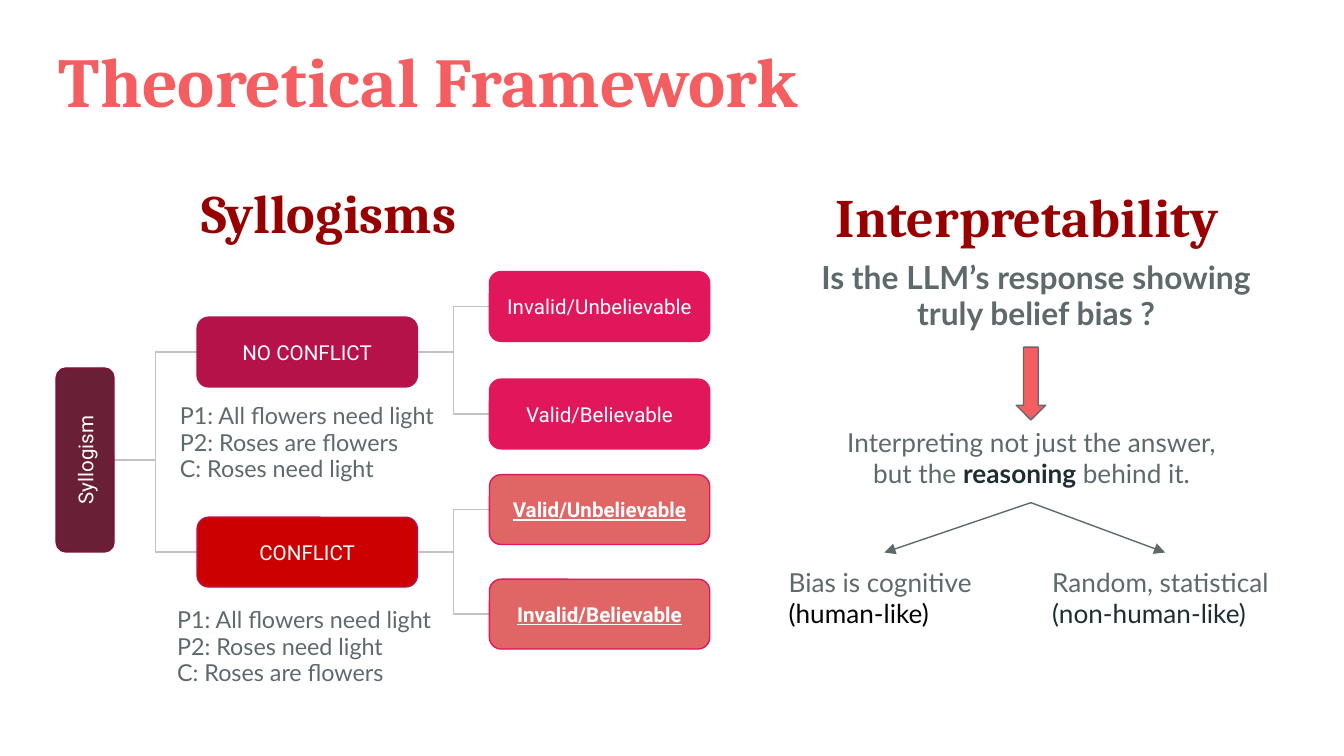
from dataclasses import dataclass

from lxml import etree
from pptx import Presentation
from pptx.dml.color import RGBColor
from pptx.enum.shapes import MSO_CONNECTOR, MSO_SHAPE
from pptx.enum.text import MSO_ANCHOR, MSO_AUTO_SIZE, PP_ALIGN
from pptx.oxml.ns import qn
from pptx.util import Pt

ROUNDED, DOWN_ARROW = MSO_SHAPE.ROUNDED_RECTANGLE, MSO_SHAPE.DOWN_ARROW
ELBOW, STRAIGHT = MSO_CONNECTOR.ELBOW, MSO_CONNECTOR.STRAIGHT
TOP, MIDDLE = MSO_ANCHOR.TOP, MSO_ANCHOR.MIDDLE
LEFT, CENTER = PP_ALIGN.LEFT, PP_ALIGN.CENTER
GROW = MSO_AUTO_SIZE.SHAPE_TO_FIT_TEXT

WHITE = RGBColor(0xFF, 0xFF, 0xFF)
BLACK = RGBColor(0x00, 0x00, 0x00)
INK = RGBColor(0x1E, 0x2D, 0x31)
SLATE = RGBColor(0x5E, 0x69, 0x6C)
SILVER = RGBColor(0xC2, 0xC2, 0xC2)
CORAL = RGBColor(0xF5, 0x5E, 0x61)
MAROON = RGBColor(0x98, 0x00, 0x00)
PLUM = RGBColor(0x69, 0x20, 0x36)
WINE = RGBColor(0x84, 0x0D, 0x35)
BERRY = RGBColor(0xB6, 0x12, 0x4A)
RED = RGBColor(0xCC, 0x00, 0x00)
PINK = RGBColor(0xE1, 0x16, 0x5B)
SALMON = RGBColor(0xE0, 0x66, 0x66)

# Font formats
TITLE = {"name": "Cambria", "size": Pt(37.5), "bold": True}
HEADING = {"name": "Cambria", "size": Pt(29), "bold": True}
QUESTION = {"name": "Lato", "size": Pt(17), "bold": True}
BODY = {"name": "Lato", "size": Pt(14)}
STRONG = BODY | {"bold": True}
EXAMPLE = {"name": "Lato", "size": Pt(12.5)}
NODE = {"name": "Roboto", "size": Pt(11)}
STRESSED_NODE = NODE | {"bold": True, "underline": True}

# Tree geometry
LINE_WIDTH = 0.75
INSET = 7.2
NODE_WIDTH, NODE_HEIGHT = 118, 37.4
ROOT_LENGTH, ROOT_THICKNESS = 98.6, 31
ROOT_X, ROOT_Y = 45.6, 246.4
BRANCH_LEFT, LEAF_LEFT = 105.6, 262.2


@dataclass(frozen=True)
class Span:
    text: str
    style: dict
    color: RGBColor


@dataclass(frozen=True)
class TextBlock:
    left: float
    top: float
    width: float
    height: float
    paragraphs: list[list[Span]]
    align: int = LEFT
    anchor: int = TOP
    spacing: float = 1.0


@dataclass(frozen=True)
class Node:
    text: str
    center_y: float
    fill: RGBColor
    outline: RGBColor
    style: dict
    children: tuple["Node", ...] = ()


def write_text(frame, paragraphs: list[list[Span]], align: int, anchor: int,
               spacing: float = 1.0) -> None:
    frame_format = {"word_wrap": True, "vertical_anchor": anchor}
    for side in ("left", "right", "top", "bottom"):
        frame_format[f"margin_{side}"] = Pt(INSET)
    for name, value in frame_format.items():
        setattr(frame, name, value)
    for index, spans in enumerate(paragraphs):
        paragraph = frame.add_paragraph() if index else frame.paragraphs[0]
        paragraph.alignment = align
        paragraph.line_spacing = spacing
        for span in spans:
            run = paragraph.add_run()
            run.text = span.text
            for name, value in span.style.items():
                setattr(run.font, name, value)
            run.font.color.rgb = span.color


def draw_text(slide, block: TextBlock) -> None:
    shape = slide.shapes.add_textbox(Pt(block.left), Pt(block.top), Pt(block.width), Pt(block.height))
    write_text(shape.text_frame, block.paragraphs, block.align, block.anchor, block.spacing)
    shape.text_frame.auto_size = GROW


def draw_shape(slide, kind: int, left: float, top: float, width: float, height: float,
               fill: RGBColor, outline: RGBColor):
    shape = slide.shapes.add_shape(kind, Pt(left), Pt(top), Pt(width), Pt(height))
    shape.shadow.inherit = False
    shape.fill.solid()
    shape.fill.fore_color.rgb = fill
    shape.line.color.rgb = outline
    shape.line.width = Pt(LINE_WIDTH)
    return shape


def draw_line(slide, kind: int, start: tuple[float, float], end: tuple[float, float],
              color: RGBColor, arrow: bool = False) -> None:
    points = [Pt(value) for value in (*start, *end)]
    connector = slide.shapes.add_connector(kind, *points)
    connector.line.color.rgb = color
    connector.line.width = Pt(LINE_WIDTH)
    if arrow:
        etree.SubElement(connector.line._get_or_add_ln(), qn("a:tailEnd"), type="triangle")
    etree.SubElement(connector._element.spPr, qn("a:effectLst"))


def draw_node(slide, node: Node, left: float) -> None:
    right = left + NODE_WIDTH
    for child in node.children:
        draw_line(slide, ELBOW, (right, node.center_y), (LEAF_LEFT, child.center_y), SILVER)
        draw_node(slide, child, LEAF_LEFT)
    shape = draw_shape(slide, ROUNDED, left, node.center_y - NODE_HEIGHT / 2,
                       NODE_WIDTH, NODE_HEIGHT, node.fill, node.outline)
    write_text(shape.text_frame, [[Span(node.text, node.style, WHITE)]], CENTER, MIDDLE)


def draw_tree(slide, branches: list[Node]) -> None:
    root_right = ROOT_X + ROOT_THICKNESS / 2
    for branch in branches:
        draw_line(slide, ELBOW, (root_right, ROOT_Y), (BRANCH_LEFT, branch.center_y), SILVER)
        draw_node(slide, branch, BRANCH_LEFT)
    root = draw_shape(slide, ROUNDED, ROOT_X - ROOT_LENGTH / 2, ROOT_Y - ROOT_THICKNESS / 2,
                      ROOT_LENGTH, ROOT_THICKNESS, PLUM, WINE)
    root.rotation = 270
    write_text(root.text_frame, [[Span("Syllogism", NODE, WHITE)]], CENTER, MIDDLE)


def example(left: float, top: float, *lines: str) -> TextBlock:
    paragraphs = [[Span(line, EXAMPLE, SLATE)] for line in lines]
    return TextBlock(left, top, 150.5, 57.6, paragraphs, spacing=0.95)


BRANCHES = [
    Node("NO CONFLICT", 188.6, BERRY, BERRY, NODE, (
        Node("Invalid/Unbelievable", 164.2, PINK, PINK, NODE),
        Node("Valid/Believable", 221.8, PINK, PINK, NODE))),
    Node("CONFLICT", 295.8, RED, BERRY, NODE, (
        Node("Valid/Unbelievable", 273, SALMON, PINK, STRESSED_NODE),
        Node("Invalid/Believable", 329, SALMON, PINK, STRESSED_NODE))),
]

TEXTS = [
    # Title and headings
    TextBlock(24.5, 13, 671, 49, [[Span("Theoretical Framework", TITLE, CORAL)]]),
    TextBlock(94.3, 88.6, 167.8, 49.7, [[Span(" Syllogisms", HEADING, MAROON)]], anchor=MIDDLE),
    TextBlock(440.6, 90.7, 229.7, 49.7, [[Span("Interpretability", HEADING, MAROON)]], anchor=MIDDLE),
    # Syllogism examples
    example(89.3, 208.8, "P1: All flowers need light", "P2: Roses are flowers", "C: Roses need light"),
    example(87.8, 318.2, "P1: All flowers need light", "P2: Roses need light", "C: Roses are flowers"),
    # Interpretability argument
    TextBlock(427.7, 132.5, 254.9, 54,
              [[Span("Is the LLM’s response showing truly belief bias ?", QUESTION, SLATE)]],
              align=CENTER, spacing=0.95),
    TextBlock(437.8, 221, 229.7, 48.2,
              [[Span("Interpreting not just the answer, but the ", BODY, SLATE),
                Span("reasoning ", STRONG, INK), Span("behind it.", BODY, SLATE)]], align=CENTER),
    TextBlock(415.4, 296, 118, 48.2,
              [[Span("Bias is cognitive", BODY, SLATE)], [Span("(human-like)", BODY, BLACK)]]),
    TextBlock(556.6, 296, 134.6, 48.2,
              [[Span("Random, statistical ", BODY, SLATE), Span("(non-human-like)", BODY, INK)]]),
]


def main() -> None:
    presentation = Presentation()
    presentation.slide_width, presentation.slide_height = Pt(720), Pt(405)
    slide = presentation.slides.add_slide(presentation.slide_layouts[6])

    draw_tree(slide, BRANCHES)
    for block in TEXTS:
        draw_text(slide, block)

    # Arrows of the argument
    draw_shape(slide, DOWN_ARROW, 544.4, 186, 15.8, 39, CORAL, SLATE)
    for outcome_x in (473.8, 624.2):
        draw_line(slide, STRAIGHT, (552.3, 269.3), (outcome_x, 296), SLATE, arrow=True)

    presentation.save("out.pptx")


if __name__ == "__main__":
    main()
